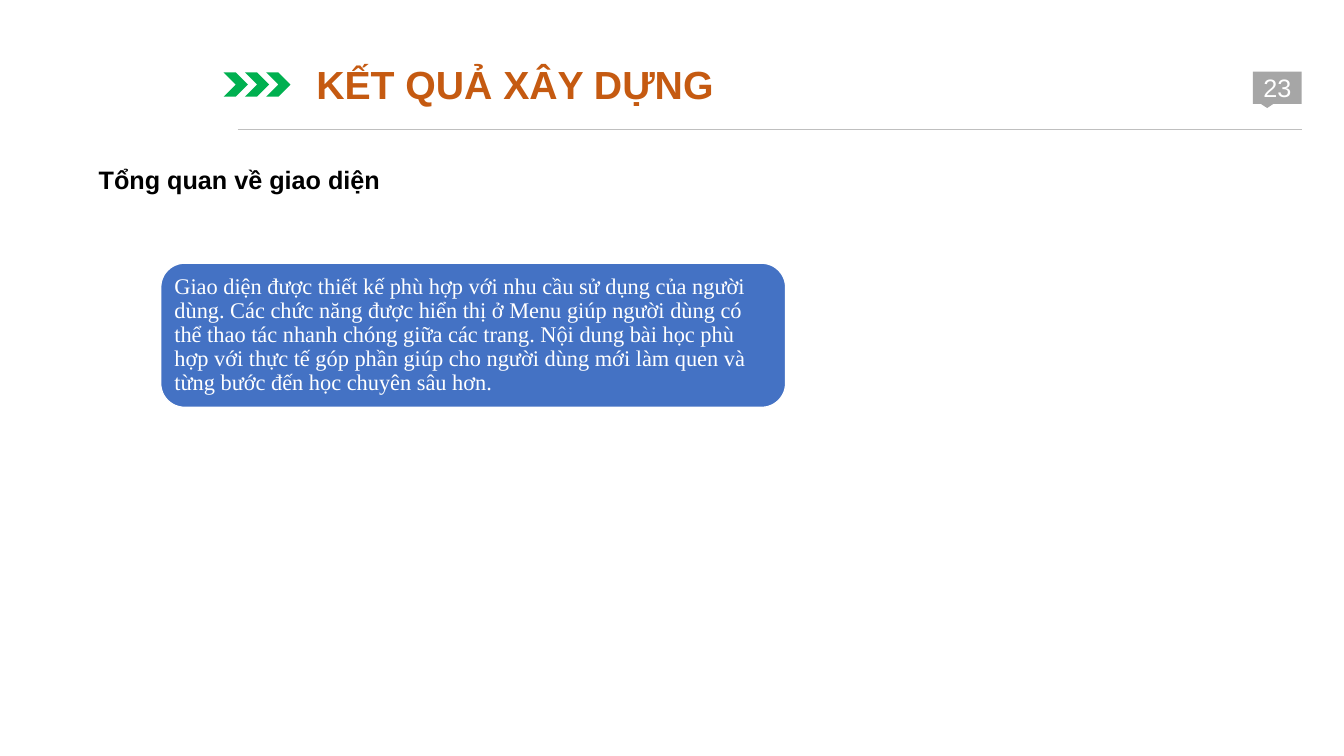
from pptx import Presentation
from pptx.dml.color import RGBColor
from pptx.enum.shapes import MSO_CONNECTOR, MSO_SHAPE
from pptx.enum.text import MSO_ANCHOR, MSO_AUTO_SIZE, PP_ALIGN
from pptx.oxml.ns import qn
from pptx.util import Pt
from lxml import etree

WHITE = RGBColor(0xFF, 0xFF, 0xFF)
BLACK = RGBColor(0, 0, 0)
GREEN = RGBColor(0x00, 0xB0, 0x50)
ORANGE = RGBColor(0xC5, 0x5A, 0x11)
BLUE = RGBColor(0x44, 0x72, 0xC4)
GRAY = RGBColor(0xA6, 0xA6, 0xA6)
SILVER = RGBColor(0xBF, 0xBF, 0xBF)

STRAIGHT = MSO_CONNECTOR.STRAIGHT
CHEVRON = MSO_SHAPE.CHEVRON
CALLOUT = MSO_SHAPE.RECTANGULAR_CALLOUT
ROUNDED = MSO_SHAPE.ROUNDED_RECTANGLE
LEFT, CENTER, JUSTIFY = PP_ALIGN.LEFT, PP_ALIGN.CENTER, PP_ALIGN.JUSTIFY
MIDDLE = MSO_ANCHOR.MIDDLE
GROW = MSO_AUTO_SIZE.SHAPE_TO_FIT_TEXT

SANS = "Arial"
SERIF = "Times New Roman"


class Page:
    def __init__(self, slide):
        self.shapes = slide.shapes

    def rule(self, x1, x2, y, color, weight):
        """Draw a horizontal line."""
        line = self.shapes.add_connector(STRAIGHT, Pt(x1), Pt(y), Pt(x2), Pt(y))
        line.line.color.rgb = color
        line.line.width = Pt(weight)
        etree.SubElement(line._element.spPr, qn("a:effectLst"))

    def shape(self, kind, box, fill, edge=None):
        shape = self.shapes.add_shape(kind, *map(Pt, box))
        shape.shadow.inherit = False
        shape.fill.solid()
        shape.fill.fore_color.rgb = fill
        if edge is None:
            shape.line.fill.background()
        else:
            shape.line.color.rgb = edge
            shape.line.width = Pt(1)
        return shape

    def label(self, box, words, size, color, align=LEFT, wrap=True, pad=(7.2, 3.6)):
        """Add a bold text box that grows with its text."""
        shape = self.shapes.add_textbox(*map(Pt, box))
        self.text(shape, words, size, color, align=align, wrap=wrap, pad=pad, bold=True)
        shape.text_frame.auto_size = GROW

    def text(self, shape, words, size, color, font=SANS, align=LEFT,
             wrap=True, pad=(7.2, 3.6), bold=False):
        """Fill a shape with one styled paragraph and return its text frame."""
        frame = shape.text_frame
        frame.text = words
        frame.word_wrap = wrap
        frame.margin_left = frame.margin_right = Pt(pad[0])
        frame.margin_top = frame.margin_bottom = Pt(pad[1])
        para = frame.paragraphs[0]
        para.alignment = align
        style = para.runs[0].font
        style.name = font
        style.size = Pt(size)
        style.bold = bold
        style.color.rgb = color
        return frame


def main():
    deck = Presentation()
    deck.slide_width, deck.slide_height = Pt(960), Pt(540)
    page = Page(deck.slides.add_slide(deck.slide_layouts[6]))

    page.rule(170, 930, 92.2, SILVER, 0.5)
    for i in range(3):
        page.shape(CHEVRON, (159.8 + 15.2 * i, 51.8, 17.3, 17.3), GREEN)
    page.label((221, 40.3, 303.8, 39.6), "KẾT QUẢ XÂY DỰNG", 28, ORANGE,
               align=JUSTIFY, pad=(5, 2.9))

    number = page.shape(CALLOUT, (895, 51.1, 34.8, 23.2), GRAY)
    page.text(number, "23", 18, WHITE, align=CENTER).vertical_anchor = MIDDLE

    page.label((63.4, 113.8, 217.4, 28.8), "Tổng quan về giao diện", 18, BLACK, wrap=False)

    card = page.shape(ROUNDED, (114.8, 188, 446.4, 103), BLUE, WHITE)
    frame = page.text(
        card,
        "Giao diện được thiết kế phù hợp với nhu cầu sử dụng của người dùng. "
        "Các chức năng được hiển thị ở Menu giúp người dùng có thể thao tác "
        "nhanh chóng giữa các trang. Nội dung bài học phù hợp với thực tế góp "
        "phần giúp cho người dùng mới làm quen và từng bước đến học chuyên sâu hơn.",
        16, WHITE, font=SERIF, pad=(4.8, 4.8))
    frame.vertical_anchor = MIDDLE
    frame.paragraphs[0].line_spacing = 0.9

    deck.save("out.pptx")


if __name__ == "__main__":
    main()
